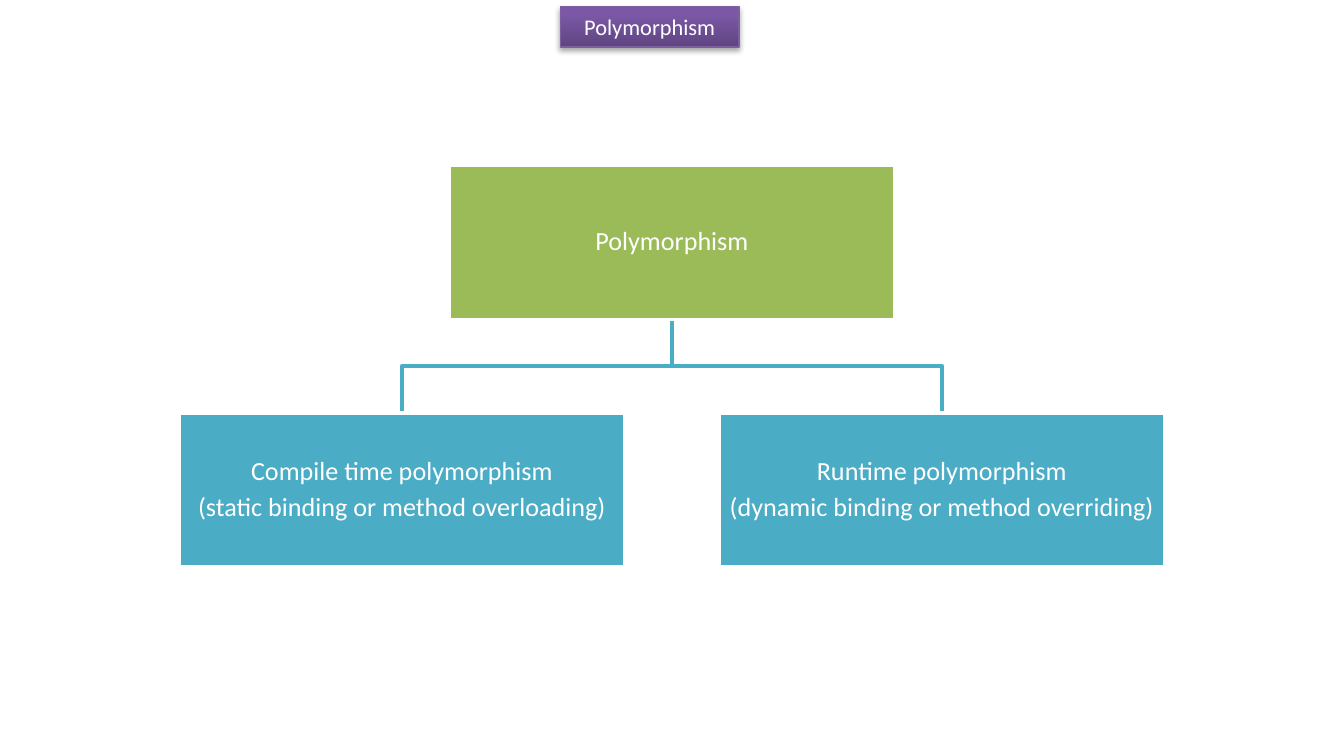
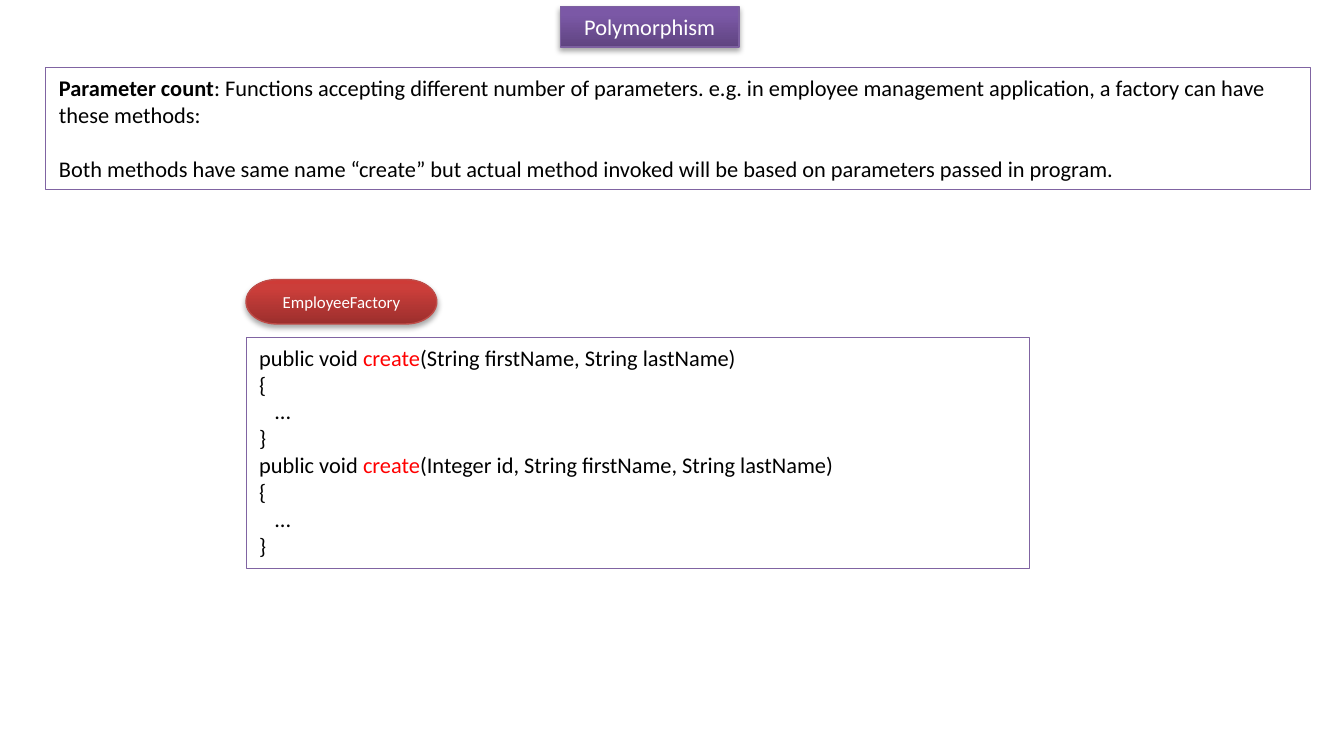
from copy import deepcopy
from dataclasses import dataclass

from lxml import etree
from pptx import Presentation
from pptx.dml.color import RGBColor
from pptx.enum.shapes import MSO_SHAPE
from pptx.enum.text import MSO_ANCHOR, MSO_AUTO_SIZE, PP_ALIGN
from pptx.oxml.ns import qn
from pptx.util import Pt

RECT, TERMINATOR = MSO_SHAPE.RECTANGLE, MSO_SHAPE.FLOWCHART_TERMINATOR
TOP, MIDDLE = MSO_ANCHOR.TOP, MSO_ANCHOR.MIDDLE
LEFT, CENTER = PP_ALIGN.LEFT, PP_ALIGN.CENTER
TITLE_ONLY = 5


@dataclass(frozen=True)
class Theme:
    font: str = "Calibri"
    white: str = "FFFFFF"
    black: str = "000000"
    accent: str = "FF0000"
    frame: str = "8064A2"
    root: str = "9BBB59"
    child: str = "4BACC6"
    purple: tuple = ("5F4480", "7B58A6", "7C57A8")
    purple_line: str = "7D60A0"
    red: tuple = ("9C2F2D", "CB3E3A", "CE3B37")
    red_line: str = "BF4C48"
    tree_size: float = 14
    text_size: float = 12
    label_size: float = 9


THEME = Theme()

# Content: a paragraph is a list of (text, format) runs
TITLE = "Polymorphism"
TREE_ROOT = ["Polymorphism"]
TREE_CHILDREN = [
    ["Compile time polymorphism", "(static binding or method overloading)"],
    ["Runtime polymorphism", "(dynamic binding or method overriding)"],
]
EXPLANATION = [
    [("Parameter count", {"bold": True}),
     (": Functions accepting different number of parameters. e.g. in employee "
      "management application, a factory can have these methods:", {})],
    [("Both methods have same name “create” but actual method invoked will be "
      "based on parameters passed in program.", {})],
]
CLASS_NAME = "EmployeeFactory"
SIGNATURES = ["(String firstName, String lastName)",
              "(Integer id, String firstName, String lastName)"]
METHOD_BODY = ["{", "   ...", "}"]

# Geometry in points: left, top, width, height
SLIDE_W, SLIDE_H = 720, 396
TITLE_BOX = (300.2, 3.6, 95.8, 21.6)
NODE_W, NODE_H = 239, 82.7
ROOT_TOP, LEVEL_GAP, CHILD_STEP = 88.5, 50, 289.2
EXPLANATION_BOX = (24.5, 36, 677.5, 65.5)
CODE_BOX = (131.8, 180.7, 419.8, 123.8)
CLASS_BOX = (131.8, 149.8, 102.2, 23.8)


def rgb(value):
    return RGBColor.from_string(value)


def set_line(sp, color, width):
    sp.line.color.rgb = rgb(color)
    sp.line.width = Pt(width)


def glossy(sp, colors, line):
    """Fill with a bottom-to-top gradient and add a soft shadow below."""
    sp.fill.gradient()
    sp.fill.gradient_angle = 90
    stops = sp._element.spPr.find(qn("a:gradFill")).find(qn("a:gsLst"))
    stops.append(deepcopy(stops[0]))
    for stop, color, position in zip(sp.fill.gradient_stops, colors, (0, 0.8, 1)):
        stop.color.rgb = rgb(color)
        stop.position = position
    set_line(sp, line, 0.75)
    sp.shadow.inherit = False
    effects = sp._element.spPr.find(qn("a:effectLst"))
    shadow = etree.SubElement(effects, qn("a:outerShdw"), blurRad=str(Pt(3.1)),
                              dist=str(Pt(1.8)), dir="5400000", rotWithShape="0")
    color = etree.SubElement(shadow, qn("a:srgbClr"), val=THEME.black)
    etree.SubElement(color, qn("a:alpha"), val="35000")


def write(sp, paragraphs, size, color, align=LEFT, anchor=TOP, inset=(7.2, 3.6),
          **spacing):
    """Write paragraphs of (text, format) runs; spacing holds paragraph settings."""
    tf = sp.text_frame
    side, end = map(Pt, inset)
    frame = {"word_wrap": True, "auto_size": MSO_AUTO_SIZE.NONE,
             "vertical_anchor": anchor, "margin_left": side, "margin_right": side,
             "margin_top": end, "margin_bottom": end}
    for name, value in frame.items():
        setattr(tf, name, value)
    for i, runs in enumerate(paragraphs):
        p = tf.add_paragraph() if i else tf.paragraphs[0]
        p.alignment = align
        for name, value in spacing.items():
            if i or name != "space_before":
                setattr(p, name, value)
        for text, style in runs:
            r = p.add_run()
            r.text = text
            font = {"name": THEME.font, "size": Pt(size), "bold": False, **style}
            r.font.color.rgb = rgb(font.pop("color", color))
            for name, value in font.items():
                setattr(r.font, name, value)


def add_box(slide, box, kind=RECT):
    sp = slide.shapes.add_shape(kind, *map(Pt, box))
    sp.shadow.inherit = False
    return sp


def add_slide(prs):
    """Add a slide with the shared title band."""
    slide = prs.slides.add_slide(prs.slide_layouts[TITLE_ONLY])
    title = slide.shapes.title
    for name, value in zip(("left", "top", "width", "height"), TITLE_BOX):
        setattr(title, name, Pt(value))
    glossy(title, THEME.purple, THEME.purple_line)
    write(title, [[(TITLE, {})]], THEME.text_size, THEME.white, CENTER)
    return slide


def add_node(slide, center, top, lines, fill):
    sp = add_box(slide, (center - NODE_W / 2, top, NODE_W, NODE_H))
    sp.fill.solid()
    sp.fill.fore_color.rgb = rgb(fill)
    set_line(sp, THEME.white, 2)
    write(sp, [[(line, {})] for line in lines], THEME.tree_size, THEME.white,
          CENTER, MIDDLE, (0.7, 0.7), line_spacing=0.9, space_after=Pt(4.4))


def add_branch(slide, start, end):
    """Draw a stepped line that turns halfway down."""
    (x1, y1), (x2, y2) = start, end
    middle = (y1 + y2) / 2
    builder = slide.shapes.build_freeform(Pt(x1), Pt(y1))
    points = [(x1, middle), (x2, middle), (x2, y2)]
    builder.add_line_segments([(Pt(x), Pt(y)) for x, y in points], close=False)
    sp = builder.convert_to_shape()
    sp.fill.background()
    set_line(sp, THEME.child, 2)
    sp.shadow.inherit = False


def add_framed_text(slide, box, paragraphs, line_width, **spacing):
    sp = add_box(slide, box)
    sp.fill.solid()
    sp.fill.fore_color.rgb = rgb(THEME.white)
    set_line(sp, THEME.frame, line_width)
    write(sp, paragraphs, THEME.text_size, THEME.black, **spacing)


def build_tree_slide(prs):
    slide = add_slide(prs)
    center = SLIDE_W / 2
    root_bottom = ROOT_TOP + NODE_H
    child_top = root_bottom + LEVEL_GAP
    first = center - CHILD_STEP * (len(TREE_CHILDREN) - 1) / 2
    centers = [first + i * CHILD_STEP for i in range(len(TREE_CHILDREN))]
    for x in centers:
        add_branch(slide, (center, root_bottom), (x, child_top))
    add_node(slide, center, ROOT_TOP, TREE_ROOT, THEME.root)
    for x, lines in zip(centers, TREE_CHILDREN):
        add_node(slide, x, child_top, lines, THEME.child)


def build_overloading_slide(prs):
    slide = add_slide(prs)
    add_framed_text(slide, EXPLANATION_BOX, EXPLANATION, 0.5, space_before=Pt(14.6))
    code = []
    for signature in SIGNATURES:
        code.append([("public void ", {}), ("create", {"color": THEME.accent}),
                     (signature, {})])
        code += [[(line, {})] for line in METHOD_BODY]
    add_framed_text(slide, CODE_BOX, code, 0.25)
    label = add_box(slide, CLASS_BOX, TERMINATOR)
    glossy(label, THEME.red, THEME.red_line)
    write(label, [[(CLASS_NAME, {})]], THEME.label_size, THEME.white, CENTER, MIDDLE)


def main():
    prs = Presentation()
    prs.slide_width, prs.slide_height = Pt(SLIDE_W), Pt(SLIDE_H)
    build_tree_slide(prs)
    build_overloading_slide(prs)
    prs.save("out.pptx")


if __name__ == "__main__":
    main()
